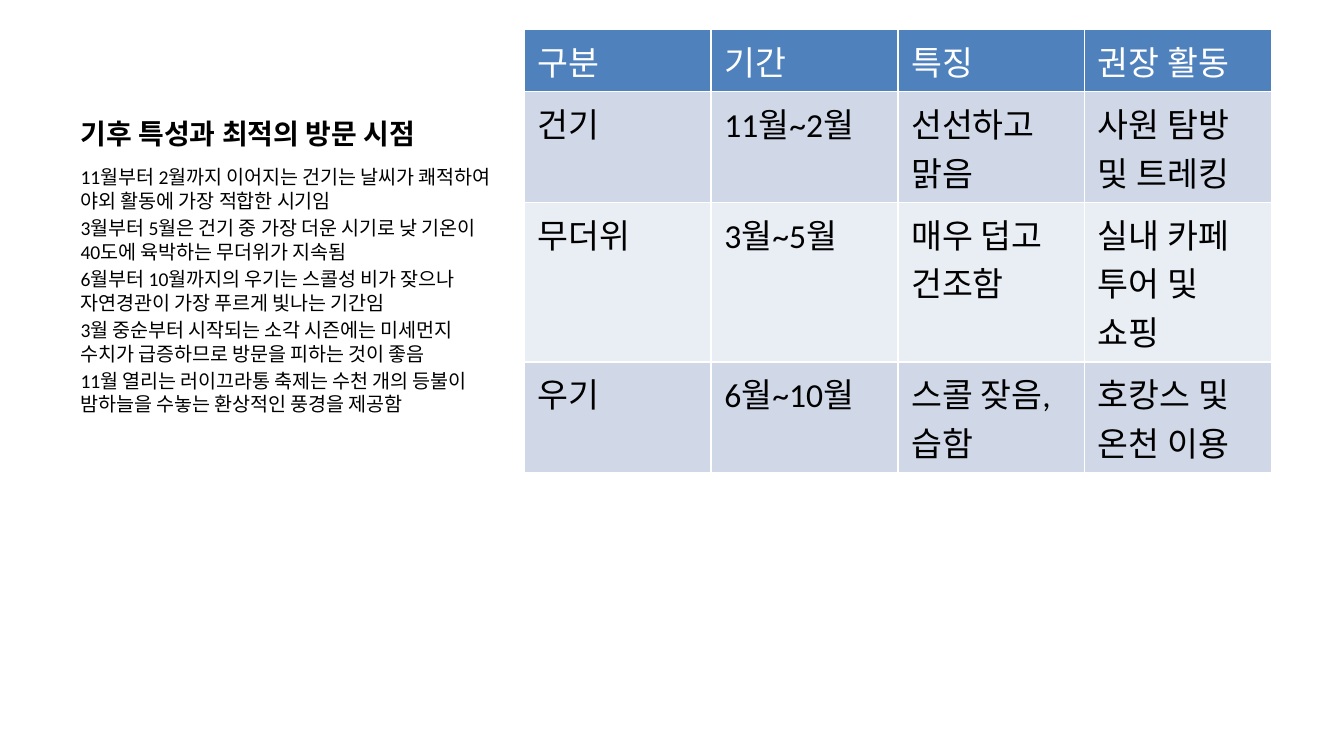
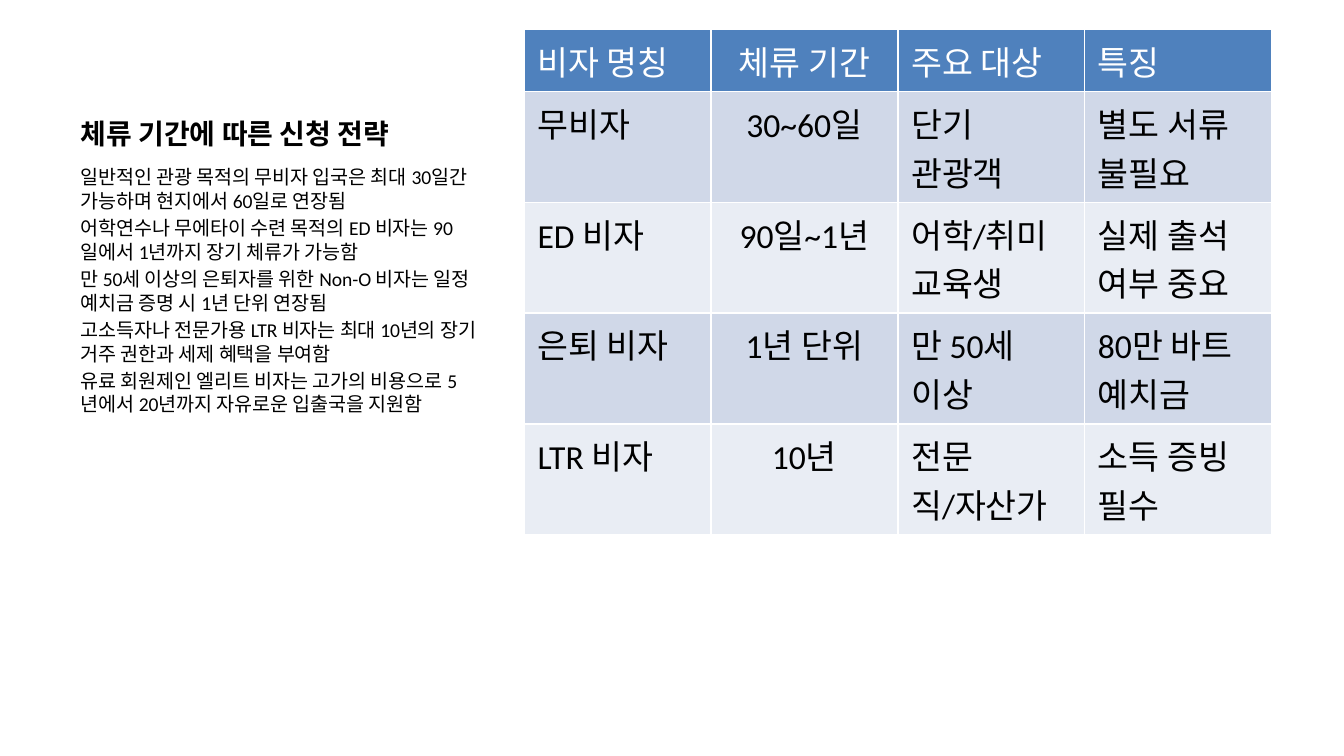
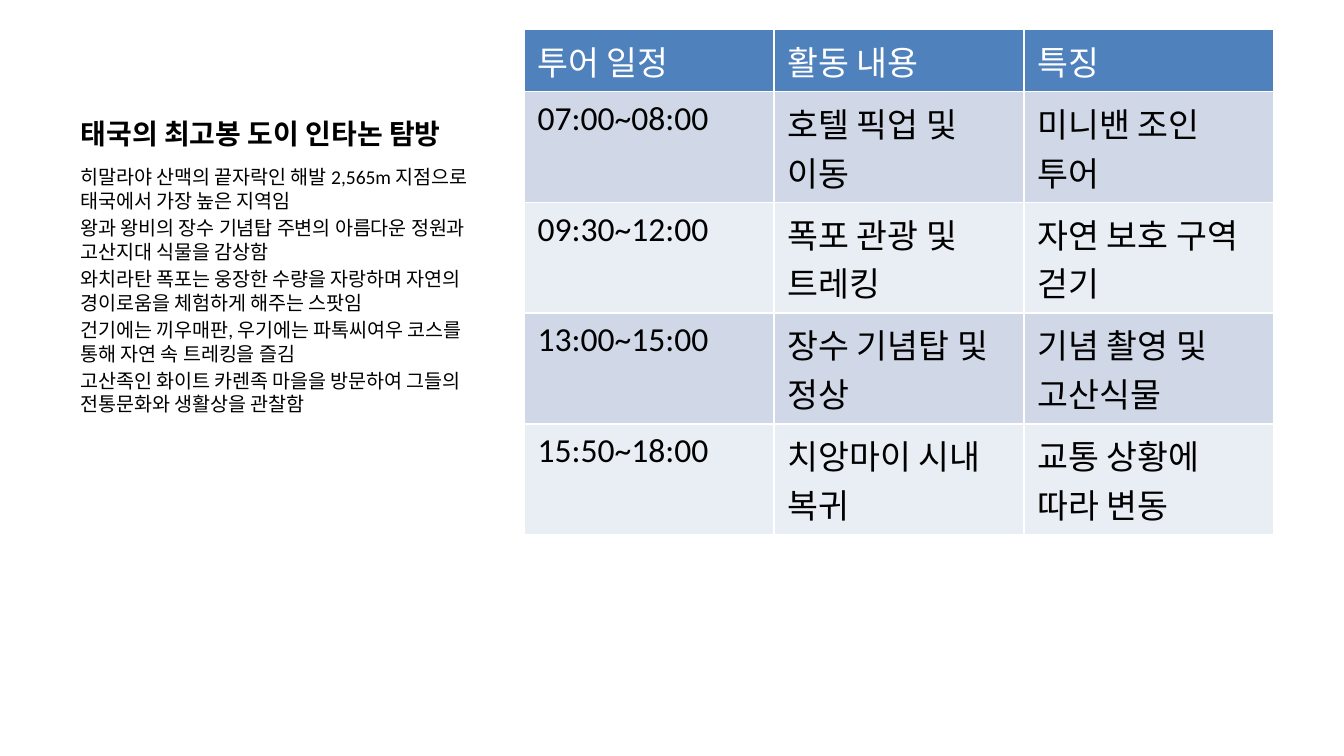
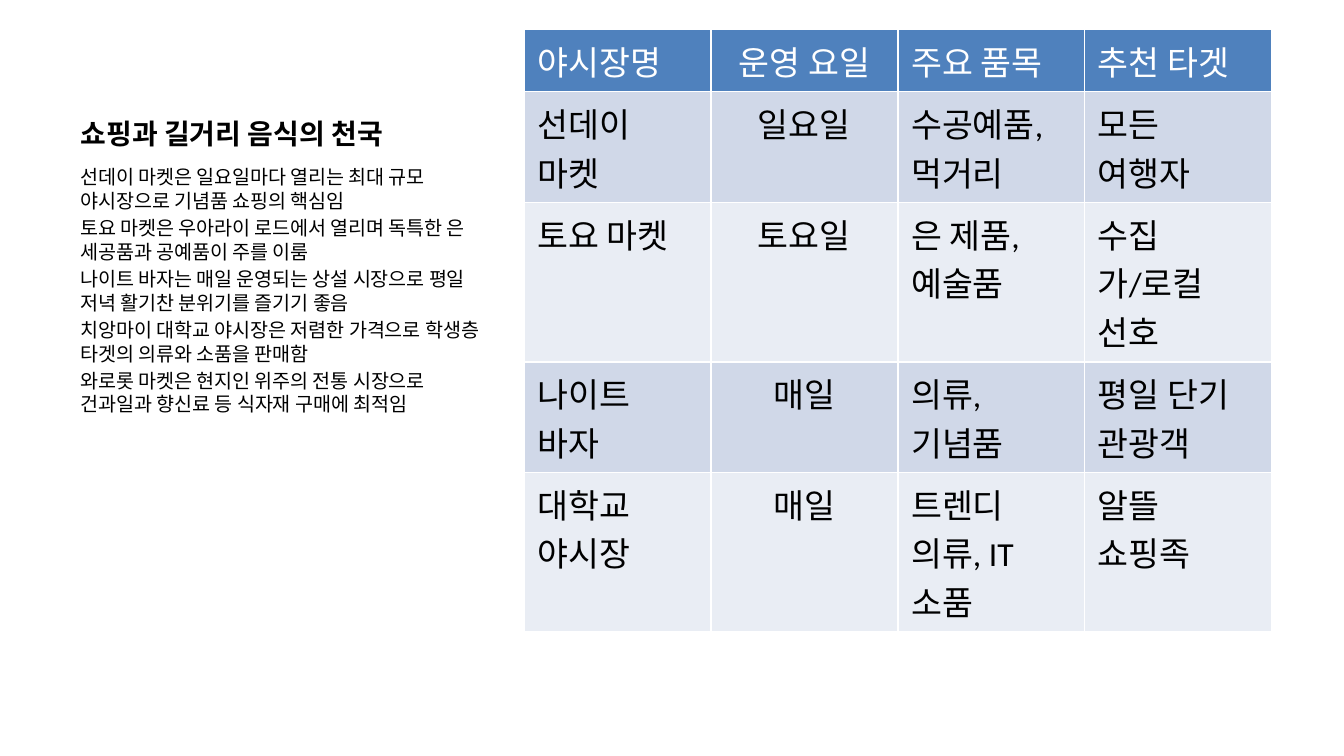
from pptx import Presentation
from pptx.dml.color import RGBColor
from pptx.enum.text import MSO_ANCHOR, PP_ALIGN
from pptx.util import Inches, Pt

CENTER, LEFT, BOTTOM = PP_ALIGN.CENTER, PP_ALIGN.LEFT, MSO_ANCHOR.BOTTOM

# Content: title, body lines, centred columns, table rows (header first)
TOPICS = [
    {
        "title": "기후 특성과 최적의 방문 시점",
        "points": [
            "11월부터 2월까지 이어지는 건기는 날씨가 쾌적하여 야외 활동에 가장 적합한 시기임",
            "3월부터 5월은 건기 중 가장 더운 시기로 낮 기온이 40도에 육박하는 무더위가 지속됨",
            "6월부터 10월까지의 우기는 스콜성 비가 잦으나 자연경관이 가장 푸르게 빛나는 기간임",
            "3월 중순부터 시작되는 소각 시즌에는 미세먼지 수치가 급증하므로 방문을 피하는 것이 좋음",
            "11월 열리는 러이끄라통 축제는 수천 개의 등불이 밤하늘을 수놓는 환상적인 풍경을 제공함",
        ],
        "centred": (),
        "rows": [
            ("구분", "기간", "특징", "권장 활동"),
            ("건기", "11월~2월", "선선하고 맑음", "사원 탐방 및 트레킹"),
            ("무더위", "3월~5월", "매우 덥고 건조함", "실내 카페 투어 및 쇼핑"),
            ("우기", "6월~10월", "스콜 잦음, 습함", "호캉스 및 온천 이용"),
        ],
    },
    {
        "title": "체류 기간에 따른 신청 전략",
        "points": [
            "일반적인 관광 목적의 무비자 입국은 최대 30일간 가능하며 현지에서 60일로 연장됨",
            "어학연수나 무에타이 수련 목적의 ED 비자는 90일에서 1년까지 장기 체류가 가능함",
            "만 50세 이상의 은퇴자를 위한 Non-O 비자는 일정 예치금 증명 시 1년 단위 연장됨",
            "고소득자나 전문가용 LTR 비자는 최대 10년의 장기 거주 권한과 세제 혜택을 부여함",
            "유료 회원제인 엘리트 비자는 고가의 비용으로 5년에서 20년까지 자유로운 입출국을 지원함",
        ],
        "centred": (1,),
        "rows": [
            ("비자 명칭", "체류 기간", "주요 대상", "특징"),
            ("무비자", "30~60일", "단기 관광객", "별도 서류 불필요"),
            ("ED 비자", "90일~1년", "어학/취미 교육생", "실제 출석 여부 중요"),
            ("은퇴 비자", "1년 단위", "만 50세 이상", "80만 바트 예치금"),
            ("LTR 비자", "10년", "전문직/자산가", "소득 증빙 필수"),
        ],
    },
    {
        "title": "태국의 최고봉 도이 인타논 탐방",
        "points": [
            "히말라야 산맥의 끝자락인 해발 2,565m 지점으로 태국에서 가장 높은 지역임",
            "왕과 왕비의 장수 기념탑 주변의 아름다운 정원과 고산지대 식물을 감상함",
            "와치라탄 폭포는 웅장한 수량을 자랑하며 자연의 경이로움을 체험하게 해주는 스팟임",
            "건기에는 끼우매판, 우기에는 파톡씨여우 코스를 통해 자연 속 트레킹을 즐김",
            "고산족인 화이트 카렌족 마을을 방문하여 그들의 전통문화와 생활상을 관찰함",
        ],
        "centred": (),
        "rows": [
            ("투어 일정", "활동 내용", "특징"),
            ("07:00~08:00", "호텔 픽업 및 이동", "미니밴 조인 투어"),
            ("09:30~12:00", "폭포 관광 및 트레킹", "자연 보호 구역 걷기"),
            ("13:00~15:00", "장수 기념탑 및 정상", "기념 촬영 및 고산식물"),
            ("15:50~18:00", "치앙마이 시내 복귀", "교통 상황에 따라 변동"),
        ],
    },
    {
        "title": "쇼핑과 길거리 음식의 천국",
        "points": [
            "선데이 마켓은 일요일마다 열리는 최대 규모 야시장으로 기념품 쇼핑의 핵심임",
            "토요 마켓은 우아라이 로드에서 열리며 독특한 은 세공품과 공예품이 주를 이룸",
            "나이트 바자는 매일 운영되는 상설 시장으로 평일 저녁 활기찬 분위기를 즐기기 좋음",
            "치앙마이 대학교 야시장은 저렴한 가격으로 학생층 타겟의 의류와 소품을 판매함",
            "와로롯 마켓은 현지인 위주의 전통 시장으로 건과일과 향신료 등 식자재 구매에 최적임",
        ],
        "centred": (1,),
        "rows": [
            ("야시장명", "운영 요일", "주요 품목", "추천 타겟"),
            ("선데이 마켓", "일요일", "수공예품, 먹거리", "모든 여행자"),
            ("토요 마켓", "토요일", "은 제품, 예술품", "수집가/로컬 선호"),
            ("나이트 바자", "매일", "의류, 기념품", "평일 단기 관광객"),
            ("대학교 야시장", "매일", "트렌디 의류, IT소품", "알뜰 쇼핑족"),
        ],
    },
]

# Shared look
FONT = "Calibri"
BLACK, WHITE = "000000", "FFFFFF"
HEADER_FILL, BAND_FILLS = "4F81BD", ("D0D8E8", "E9EDF4")
SLIDE_WIDTH = 10
SLIDE_HEIGHT = SLIDE_WIDTH * 9 / 16
TITLE_BOX = (0.5, 0.22, 3.29, 0.95)
POINTS_BOX = (0.5, 1.18, 3.29, 3.85)
TABLE_BOX = (3.9, 0.22, 5.58, 4.79)
COLUMN_WIDTHS = {3: 1.86, 4: 1.39}  # by number of columns
CAPTION_LAYOUT, CONTENT_IDX, POINTS_IDX = 7, 1, 2


def rgb(hex_code):
    return RGBColor.from_string(hex_code)


def write(frame, lines, size, color=BLACK, bold=False, align=LEFT):
    """Fill a text frame with one formatted paragraph per line."""
    for i, line in enumerate(lines):
        paragraph = frame.paragraphs[0] if i == 0 else frame.add_paragraph()
        paragraph.alignment = align
        run = paragraph.add_run()
        run.text = line
        run.font.name, run.font.size, run.font.bold = FONT, Pt(size), bold
        run.font.color.rgb = rgb(color)


def place(shape, box):
    shape.left, shape.top, shape.width, shape.height = map(Inches, box)


def add_schedule(slide, rows, centred):
    frame = slide.shapes.add_table(len(rows), len(rows[0]), *map(Inches, TABLE_BOX))
    for column in frame.table.columns:
        column.width = Inches(COLUMN_WIDTHS[len(rows[0])])
    for r, row in enumerate(rows):
        frame.table.rows[r].height = 0  # rows grow to fit their text
        fill = BAND_FILLS[(r - 1) % 2] if r else HEADER_FILL
        for c, text in enumerate(row):
            cell = frame.table.cell(r, c)
            cell.fill.solid()
            cell.fill.fore_color.rgb = rgb(fill)
            write(cell.text_frame, [text], size=18, color=BLACK if r else WHITE,
                  align=CENTER if c in centred else LEFT)
    place(frame, TABLE_BOX)


def add_topic(deck, topic):
    slide = deck.slides.add_slide(deck.slide_layouts[CAPTION_LAYOUT])
    holders = {holder.placeholder_format.idx: holder for holder in slide.placeholders}

    # The table takes the place of the content placeholder
    content = holders[CONTENT_IDX].element
    content.getparent().remove(content)

    # Title and points on the left
    title, points = slide.shapes.title, holders[POINTS_IDX]
    place(title, TITLE_BOX)
    title.text_frame.vertical_anchor = BOTTOM
    write(title.text_frame, [topic["title"]], size=15, bold=True)
    place(points, POINTS_BOX)
    write(points.text_frame, topic["points"], size=10.5)

    # Table on the right
    add_schedule(slide, topic["rows"], topic["centred"])


def main():
    deck = Presentation()
    deck.slide_width, deck.slide_height = Inches(SLIDE_WIDTH), Inches(SLIDE_HEIGHT)
    for topic in TOPICS:
        add_topic(deck, topic)
    deck.save("out.pptx")


if __name__ == "__main__":
    main()
